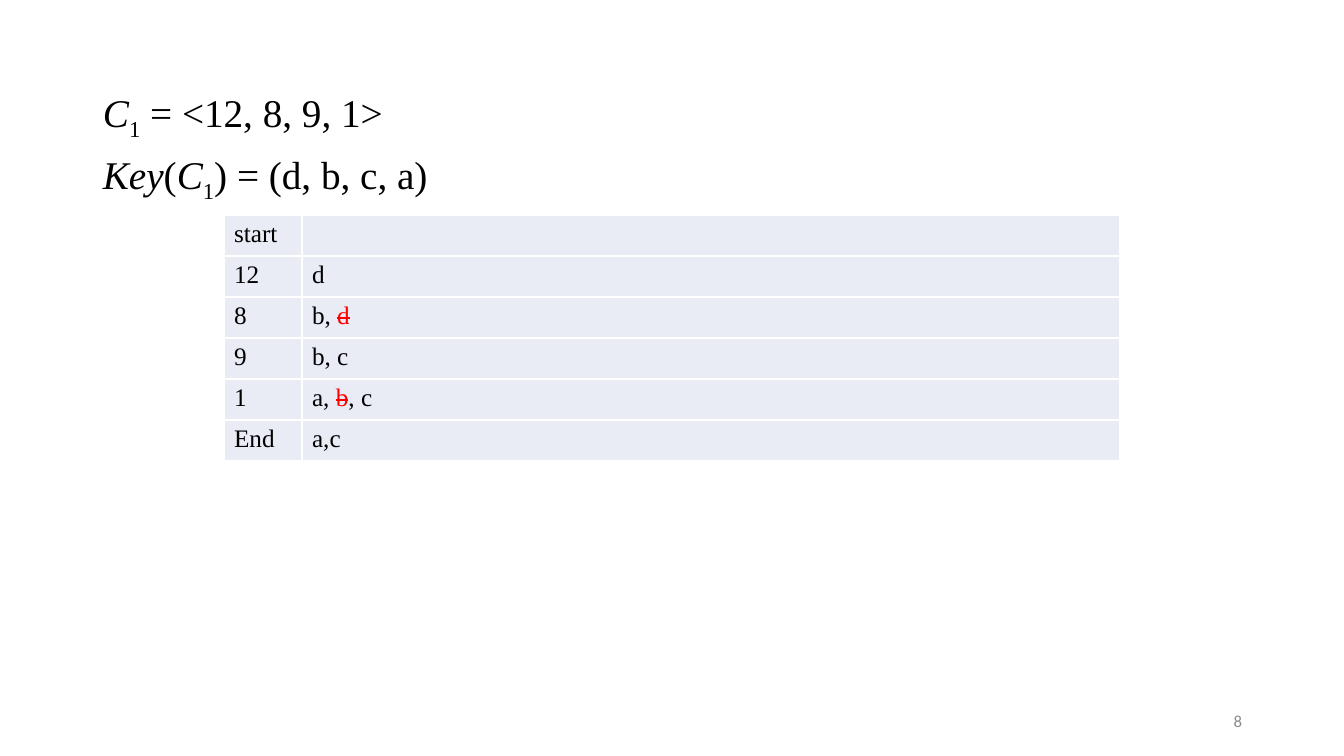
from lxml.etree import SubElement
from pptx import Presentation
from pptx.dml.color import RGBColor
from pptx.enum.text import MSO_ANCHOR, PP_ALIGN
from pptx.oxml.ns import qn
from pptx.util import Emu, Pt

PX = 914400 / 100.8
BLACK = RGBColor(0x00, 0x00, 0x00)
RED = RGBColor(0xFF, 0x00, 0x00)
GRAY = RGBColor(0x8C, 0x8C, 0x8C)
WHITE = RGBColor(0xFF, 0xFF, 0xFF)
CELL_FILL = RGBColor(0xE9, 0xEB, 0xF5)
SERIF = "Times New Roman"


def px(*lengths):
    return [Emu(round(length * PX)) for length in lengths]


def add_span(para, text, marks=(), **font_format):
    """Add a run; marks are extra run attributes such as strike or baseline."""
    span = para.add_run()
    span.text = text
    for name, value in font_format.items():
        if name == "color":
            span.font.color.rgb = value
        else:
            setattr(span.font, name, value)
    for name, value in dict(marks).items():
        span._r.get_or_add_rPr().set(name, value)


deck = Presentation()
deck.slide_width, deck.slide_height = px(1344, 756)
page = deck.slides.add_slide(deck.slide_layouts[6])

# Sequence and its key
PLAIN = {"italic": False}
ITALIC = {"italic": True}
SUBSCRIPT = {"marks": {"baseline": "-25000"}}
formulas = [
    [("C", ITALIC), ("1", SUBSCRIPT), (" = <12, 8, 9, 1>", PLAIN)],
    [("Key", ITALIC), ("(", PLAIN), ("C", ITALIC), ("1", SUBSCRIPT),
     (") = (d, b, c, a)", PLAIN)],
]
formula_box = page.shapes.add_textbox(*px(93, 84, 1159, 113))
formula_box.text_frame.word_wrap = True
for index, spans in enumerate(formulas):
    frame = formula_box.text_frame
    para = frame.add_paragraph() if index else frame.paragraphs[0]
    para.line_spacing = 0.9
    para.space_before = Pt(10 if index else 0)
    for text, style in spans:
        add_span(para, text, name=SERIF, size=Pt(28), color=BLACK, **style)

# Table of steps: removed items are struck through in red
REMOVED = {"color": RED, "marks": {"strike": "sngStrike"}}
KEPT = {"color": BLACK}
steps = [
    ("start", []),
    ("12", [("d", KEPT)]),
    ("8", [("b, ", KEPT), ("d", REMOVED)]),
    ("9", [("b, c", KEPT)]),
    ("1", [("a, ", KEPT), ("b", REMOVED), (", c", KEPT)]),
    ("End", [("a,c", KEPT)]),
]
ROW_HEIGHT = 41
table = page.shapes.add_table(
    len(steps), 2, *px(224, 215, 896, ROW_HEIGHT * len(steps))).table
table.first_row = False
table.horz_banding = False
for column, width in zip(table.columns, px(78, 818)):
    column.width = width

for row, (label, items) in enumerate(steps):
    table.rows[row].height = px(ROW_HEIGHT)[0]
    for column, spans in enumerate([[(label, KEPT)], items]):
        cell = table.cell(row, column)
        para = cell.text_frame.paragraphs[0]
        para.font.size = Pt(18)
        for text, style in spans:
            add_span(para, text, name=SERIF, size=Pt(18), **style)
        # Thin white borders come before the fill
        properties = cell._tc.get_or_add_tcPr()
        for side in ("a:lnL", "a:lnR", "a:lnT", "a:lnB"):
            line = SubElement(properties, qn(side), w=str(Pt(1)))
            paint = SubElement(line, qn("a:solidFill"))
            SubElement(paint, qn("a:srgbClr"), val=str(WHITE))
        cell.fill.solid()
        cell.fill.fore_color.rgb = CELL_FILL

# Page number
number_box = page.shapes.add_textbox(*px(950, 701, 302, 40))
number_box.text_frame.word_wrap = True
number_box.text_frame.vertical_anchor = MSO_ANCHOR.MIDDLE
para = number_box.text_frame.paragraphs[0]
para.alignment = PP_ALIGN.RIGHT
add_span(para, "8", name="Calibri", size=Pt(12), color=GRAY)

deck.save("out.pptx")
